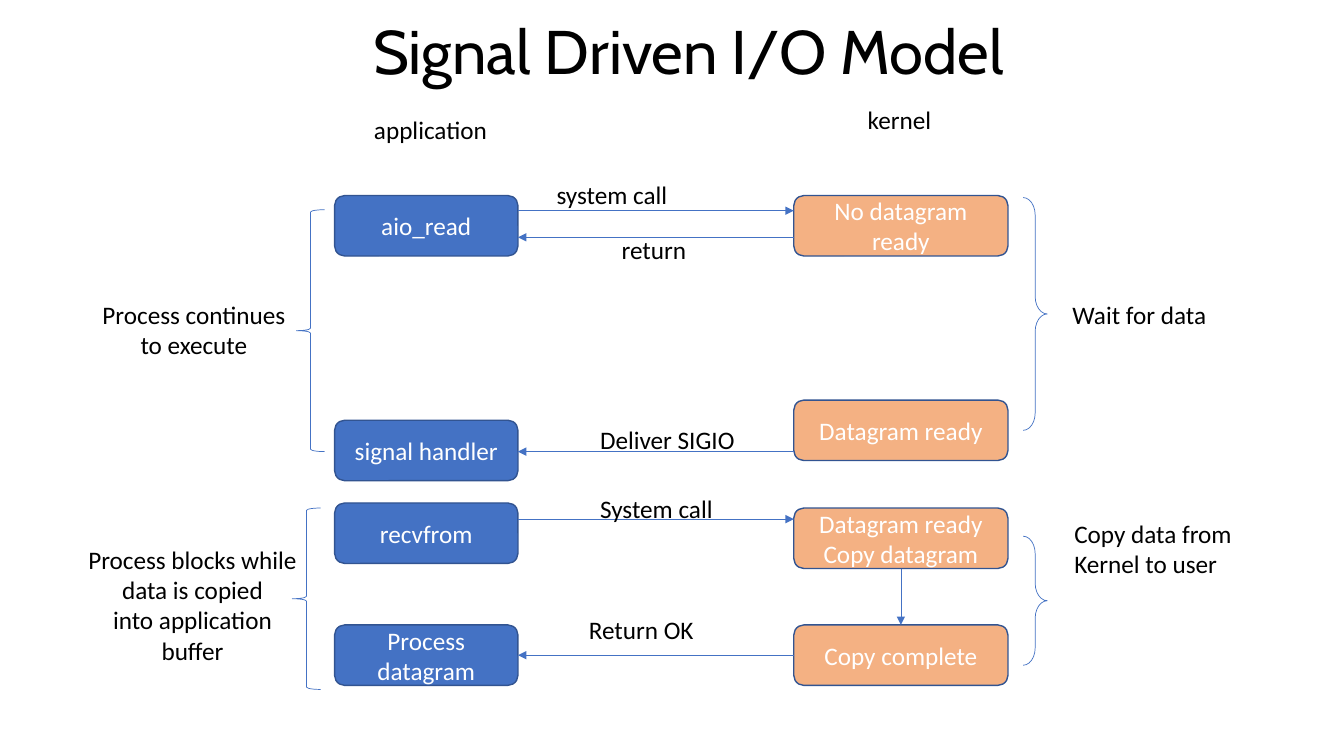
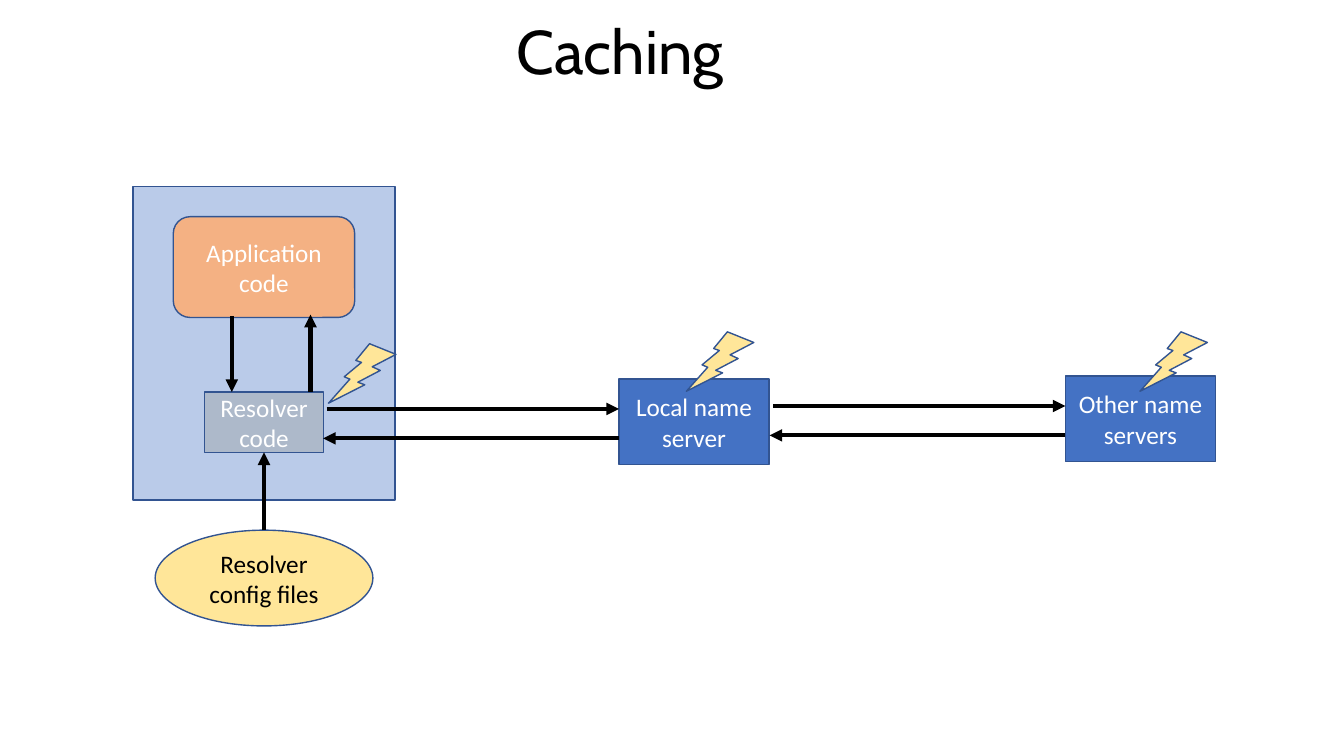
from lxml import etree
from pptx import Presentation
from pptx.dml.color import RGBColor
from pptx.enum.shapes import MSO_CONNECTOR, MSO_SHAPE
from pptx.enum.text import MSO_ANCHOR, PP_ALIGN
from pptx.oxml.ns import qn
from pptx.util import Pt

RECT, ROUND = MSO_SHAPE.RECTANGLE, MSO_SHAPE.ROUNDED_RECTANGLE
OVAL, BOLT = MSO_SHAPE.OVAL, MSO_SHAPE.LIGHTNING_BOLT
LBRACE, RBRACE = MSO_SHAPE.LEFT_BRACE, MSO_SHAPE.RIGHT_BRACE
STRAIGHT = MSO_CONNECTOR.STRAIGHT
TOP, MIDDLE = MSO_ANCHOR.TOP, MSO_ANCHOR.MIDDLE
LEFT, CENTER = PP_ALIGN.LEFT, PP_ALIGN.CENTER

BLUE, EDGE, ORANGE = "4472C4", "325491", "F4B183"
YELLOW, GREY, BLACK, WHITE = "FFE699", "ADB9CA", "000000", "FFFFFF"


def color(code):
    return RGBColor.from_string(code)


class Deck:
    """Holds the style and the current slide."""
    body, head = "Calibri", "Cabin"

    def __init__(self):
        self.prs = Presentation()
        self.prs.slide_width, self.prs.slide_height = Pt(960), Pt(540)

    def page(self, title, width):
        self.slide = self.prs.slides.add_slide(self.prs.slide_layouts[6])
        area = self.slide.shapes.add_textbox(Pt(90), 0, Pt(width), Pt(78))
        self.letter(area, title, BLACK, CENTER, MIDDLE, 44, self.head)
        area.text_frame.paragraphs[0].line_spacing = 0.9

    def letter(self, shape, text, ink, align, anchor, size=18, font=body, wrap=True):
        frame = shape.text_frame
        frame.text = text
        frame.word_wrap = wrap
        frame.vertical_anchor = anchor
        for para in frame.paragraphs:
            para.alignment = align
            for run in para.runs:
                run.font.name, run.font.size = font, Pt(size)
                run.font.color.rgb = color(ink)

    def label(self, text, x, y, w, h=29, align=LEFT):
        area = self.slide.shapes.add_textbox(Pt(x), Pt(y), Pt(w), Pt(h))
        self.letter(area, text, BLACK, align, TOP, wrap=False)

    def shape(self, kind, x, y, w, h, fill=None, edge=EDGE, width=1):
        item = self.slide.shapes.add_shape(kind, Pt(x), Pt(y), Pt(w), Pt(h))
        item.shadow.inherit = False
        if fill:
            item.fill.solid()
            item.fill.fore_color.rgb = color(fill)
        else:
            item.fill.background()
        item.line.color.rgb = color(edge)
        item.line.width = Pt(width)
        return item

    def box(self, text, kind, x, y, w, h, fill, ink=WHITE):
        item = self.shape(kind, x, y, w, h, fill)
        self.letter(item, text, ink, CENTER, MIDDLE)
        return item

    def pane(self, x, y, w, h, fill, alpha):
        item = self.shape(RECT, x, y, w, h, fill)
        tone = item._element.spPr.find(qn("a:solidFill"))[0]
        etree.SubElement(tone, qn("a:alpha")).set("val", str(alpha * 1000))

    def brace(self, kind, x, y, w, h, curl=None):
        item = self.shape(kind, x, y, w, h, edge=BLUE, width=0.5)
        if curl:
            item.adjustments[0] = curl

    def bolt(self, x, y):
        item = self.shape(BOLT, x, y, 48.2, 42.5, YELLOW)
        item._element.spPr.find(qn("a:xfrm")).set("flipH", "1")

    def arrow(self, x1, y1, x2, y2, ink, width):
        line = self.slide.shapes.add_connector(
            STRAIGHT, Pt(x1), Pt(y1), Pt(x2), Pt(y2))
        line.line.color.rgb = color(ink)
        line.line.width = Pt(width)
        frame = line._element.spPr
        tail = etree.SubElement(frame.find(qn("a:ln")), qn("a:tailEnd"))
        tail.set("type", "triangle")
        etree.SubElement(frame, qn("a:effectLst"))
        return line

    def link(self, start, side1, end, side2, ink, width):
        line = self.arrow(0, 0, 0, 0, ink, width)
        line.begin_connect(start, side1)
        line.end_connect(end, side2)


def signal(deck):
    deck.page("Signal Driven I/O Model", 804)

    # Column heads
    deck.label("application", 246, 78, 123, align=CENTER)
    deck.label("kernel", 566, 71, 153, align=CENTER)

    # Steps in both columns
    app, app_w, kern, kern_w, high = 239, 131, 567, 153, 43.2
    calls = [deck.box(text, ROUND, app, y, app_w, high, BLUE) for text, y in (
        ("aio_read", 139.7), ("signal handler", 300.2),
        ("recvfrom", 359.3), ("Process datagram", 446.4))]
    states = [deck.box(text, ROUND, kern, y, kern_w, high, ORANGE) for text, y in (
        ("No datagram ready", 139.7), ("Datagram ready", 285.8),
        ("Datagram ready\nCopy datagram", 362.9), ("Copy complete", 446.4))]

    # Arrows between the columns
    edge = app + app_w
    for y, ahead in ((150.5, True), (169.5, False), (322.6, False), (370.8, True)):
        ends = (edge, kern) if ahead else (kern, edge)
        deck.arrow(ends[0], y, ends[1], y, BLUE, 0.5)
    deck.link(states[2], 2, states[3], 0, BLUE, 0.5)
    deck.link(states[3], 1, calls[3], 3, BLUE, 0.5)

    # Arrow labels
    for text, x, y, w in (
            ("system call", 390.5, 124.5, 94), ("return", 437, 163.5, 61),
            ("Deliver SIGIO", 421.5, 299.5, 112), ("System call", 421.5, 349, 96),
            ("Return OK", 413.5, 435, 90)):
        deck.label(text, x, y, w)

    # Phases at both sides
    deck.brace(LBRACE, 211.7, 149.8, 20.2, 172.8)
    deck.brace(LBRACE, 208.8, 362.9, 20.2, 129.6)
    deck.brace(RBRACE, 730.8, 141.1, 17.3, 166.3, 0.72)
    deck.brace(RBRACE, 730.8, 383, 17.3, 92.2, 0.72)
    deck.label("Process continues\nto execute", 63, 210.2, 151, 51, CENTER)
    deck.label("Process blocks while\ndata is copied\ninto application\nbuffer",
               55, 385.2, 165, 94, CENTER)
    deck.label("Wait for data", 759, 210.2, 111)
    deck.label("Copy data from\nKernel to user", 760.3, 366.5, 132.5, 51)


def caching(deck):
    deck.page("Caching", 705.6)

    # Client host, stacked on one axis
    mid = 188.6

    def stack(text, kind, y, w, h, fill, ink=WHITE):
        return deck.box(text, kind, mid - w / 2, y, w, h, fill, ink)

    deck.pane(mid - 93.6, 133.2, 187.2, 224, BLUE, 37)
    stack("Application\ncode", ROUND, 154.8, 129.6, 72, ORANGE)
    solver = stack("Resolver\ncode", RECT, 280, 85, 43.2, GREY)
    config = stack("Resolver config files", OVAL, 378.7, 155.5, 68.4, YELLOW, BLACK)
    deck.link(config, 0, solver, 2, BLACK, 3)
    deck.arrow(221.8, 280, 221.8, 224.8, BLACK, 3)
    deck.arrow(165.6, 226, 165.6, 280, BLACK, 3)

    # Servers, each with a query and a reply
    for text, x, y in (("Local name server", 442.1, 270.7),
                       ("Other name servers", 761, 268.6)):
        deck.box(text, RECT, x, y, 107.3, 61.2, BLUE)
        deck.arrow(x - 208.8, y + 21.4, x, y + 21.4, BLACK, 3)
        deck.arrow(x, y + 42.4, x - 211.3, y + 42.4, BLACK, 3)

    # Caches
    for x, y in ((234.7, 245.5), (490.3, 237), (814.3, 237)):
        deck.bolt(x, y)


def main():
    deck = Deck()
    signal(deck)
    caching(deck)
    deck.prs.save("out.pptx")


if __name__ == "__main__":
    main()
